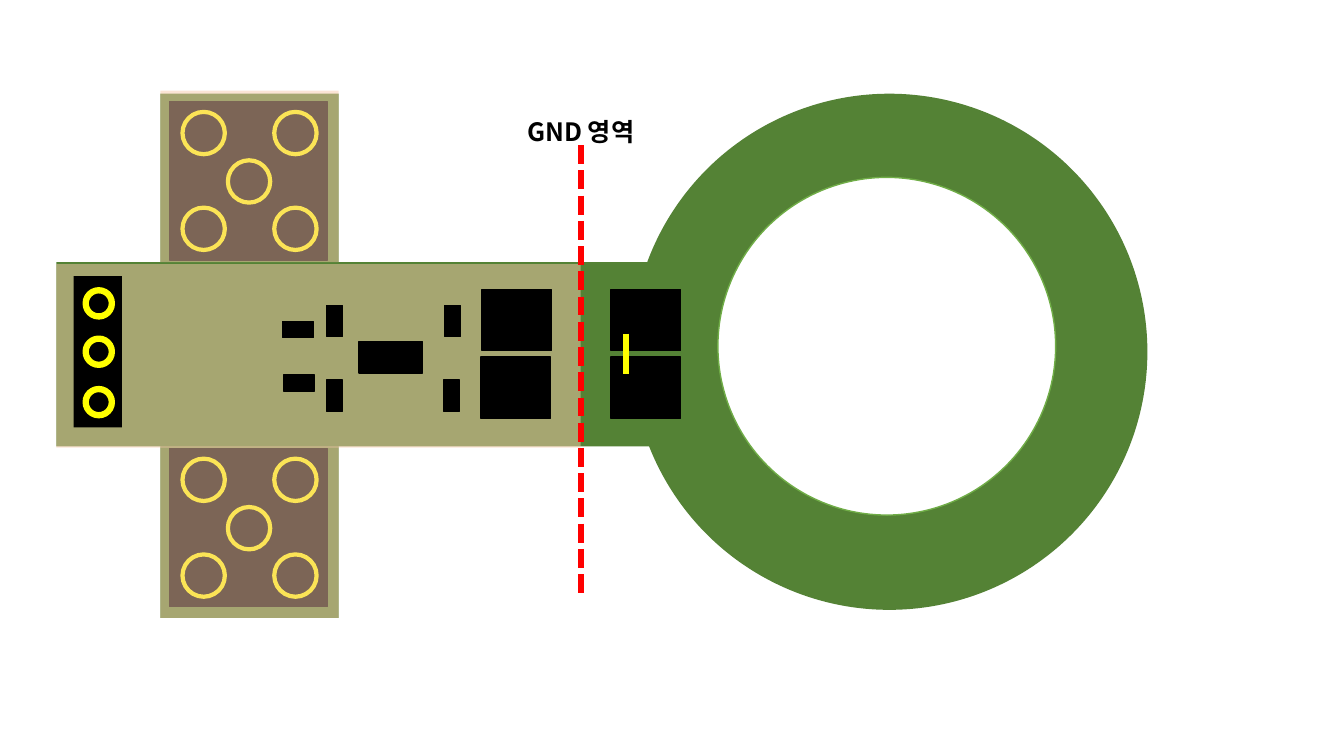
from pptx import Presentation
from pptx.dml.color import RGBColor
from pptx.enum.dml import MSO_LINE
from pptx.enum.shapes import MSO_CONNECTOR, MSO_SHAPE
from pptx.enum.text import MSO_ANCHOR, PP_ALIGN
from pptx.oxml.ns import qn
from pptx.util import Inches, Pt
from lxml.etree import SubElement

COLORS = {
    "board": "548235", "coil_edge": "70AD47", "ground": "F8CBAD",
    "part": "000000", "pad": "FFFF00", "cut": "FF0000", "hole": "FFFFFF",
}
RECT, OVAL = MSO_SHAPE.RECTANGLE, MSO_SHAPE.OVAL


def add_part(kind, left, top, width, height, fill=None, line=None, weight=1, alpha=None):
    shape = page.shapes.add_shape(
        kind, Inches(left), Inches(top), Inches(width), Inches(height))
    shape.shadow.inherit = False
    if fill:
        shape.fill.solid()
        shape.fill.fore_color.rgb = RGBColor.from_string(COLORS[fill])
    else:
        shape.fill.background()
    if alpha:
        color = shape.fill._xPr.find(qn("a:solidFill"))[0]
        SubElement(color, qn("a:alpha")).set("val", str(alpha * 1000))
    if line:
        shape.line.color.rgb = RGBColor.from_string(COLORS[line])
        shape.line.width = Pt(weight)
    else:
        shape.line.fill.background()


def add_vertical(x, top, bottom, color):
    line = page.shapes.add_connector(
        MSO_CONNECTOR.STRAIGHT, Inches(x), Inches(top), Inches(x), Inches(bottom))
    line.line.color.rgb = RGBColor.from_string(COLORS[color])
    line.line.width = Pt(4.5)
    SubElement(line._element.spPr, qn("a:effectLst"))
    return line


deck = Presentation()
deck.slide_width, deck.slide_height = Inches(13.33), Inches(7.5)
page = deck.slides.add_slide(deck.slide_layouts[6])

# Board outline and coil ring
add_part(RECT, 1.59, 0.93, 1.77, 5.2, "board")
add_part(OVAL, 6.26, 0.93, 5.12, 5.12, "board")
add_part(RECT, 0.56, 2.6, 5.89, 1.83, "board")
add_part(OVAL, 7.12, 1.76, 3.35, 3.35, "hole", "coil_edge")

# Two connectors, each with five round pads
for top in (1.01, 4.45):
    add_part(RECT, 1.68, top, 1.57, 1.57, "part", "part")
    for dx, dy in ((1.04, 1.05), (0.13, 1.05), (0.58, 0.58), (1.04, 0.1), (0.13, 0.1)):
        add_part(OVAL, 1.68 + dx, top + dy, 0.42, 0.42, "part", "pad", 3)

# Ground area over the main strip
add_part(RECT, 0.56, 2.62, 5.2, 1.82, "ground", alpha=50)

# Large chips on both sides of the ground border
for left, top in ((6.06, 2.87), (6.06, 3.54), (4.78, 2.87), (4.77, 3.54)):
    add_part(RECT, left, top, 0.69, 0.61, "part", "part")
add_vertical(6.21, 3.31, 3.71, "pad")

# Pin header
add_part(RECT, 0.73, 2.74, 0.48, 1.5, "part")
for top in (2.88, 3.36, 3.86):
    add_part(OVAL, 0.88, top + 0.03, 0.2, 0.2, "part")
    add_part(OVAL, 0.85, top, 0.26, 0.26, line="pad", weight=4.5)

# Small components around the driver chip
for left, top in ((2.8, 3.19), (2.81, 3.72)):
    add_part(RECT, left, top, 0.31, 0.16, "part", "part")
for left, top in ((3.24, 3.03), (3.24, 3.77), (4.41, 3.03), (4.4, 3.77)):
    add_part(RECT, left, top, 0.16, 0.31, "part", "part")
add_part(RECT, 3.56, 3.39, 0.63, 0.31, "part", "part")

# Ground area over the connectors
for top in (4.43, 0.9):
    add_part(RECT, 1.59, top, 1.77, 1.7, "ground", alpha=50)

# Ground border and its label
border = add_vertical(5.76, 1.44, 5.92, "cut")
border.line.dash_style = MSO_LINE.SQUARE_DOT
border.line._ln.find(qn("a:prstDash")).set("val", "sysDash")

box = page.shapes.add_textbox(Inches(5.02), Inches(1.15), Inches(1.48), Inches(0.3))
frame = box.text_frame
frame.word_wrap = True
frame.vertical_anchor = MSO_ANCHOR.MIDDLE
frame.text = "GND 영역"
para = frame.paragraphs[0]
para.alignment = PP_ALIGN.CENTER
span = para.runs[0]
span.font.size, span.font.bold = Pt(18), True
span.font.name = "Noto Sans CJK KR"
span.font.color.rgb = RGBColor.from_string(COLORS["part"])
SubElement(span.font._element, qn("a:ea")).set("typeface", "Noto Sans CJK KR")

deck.save("out.pptx")
